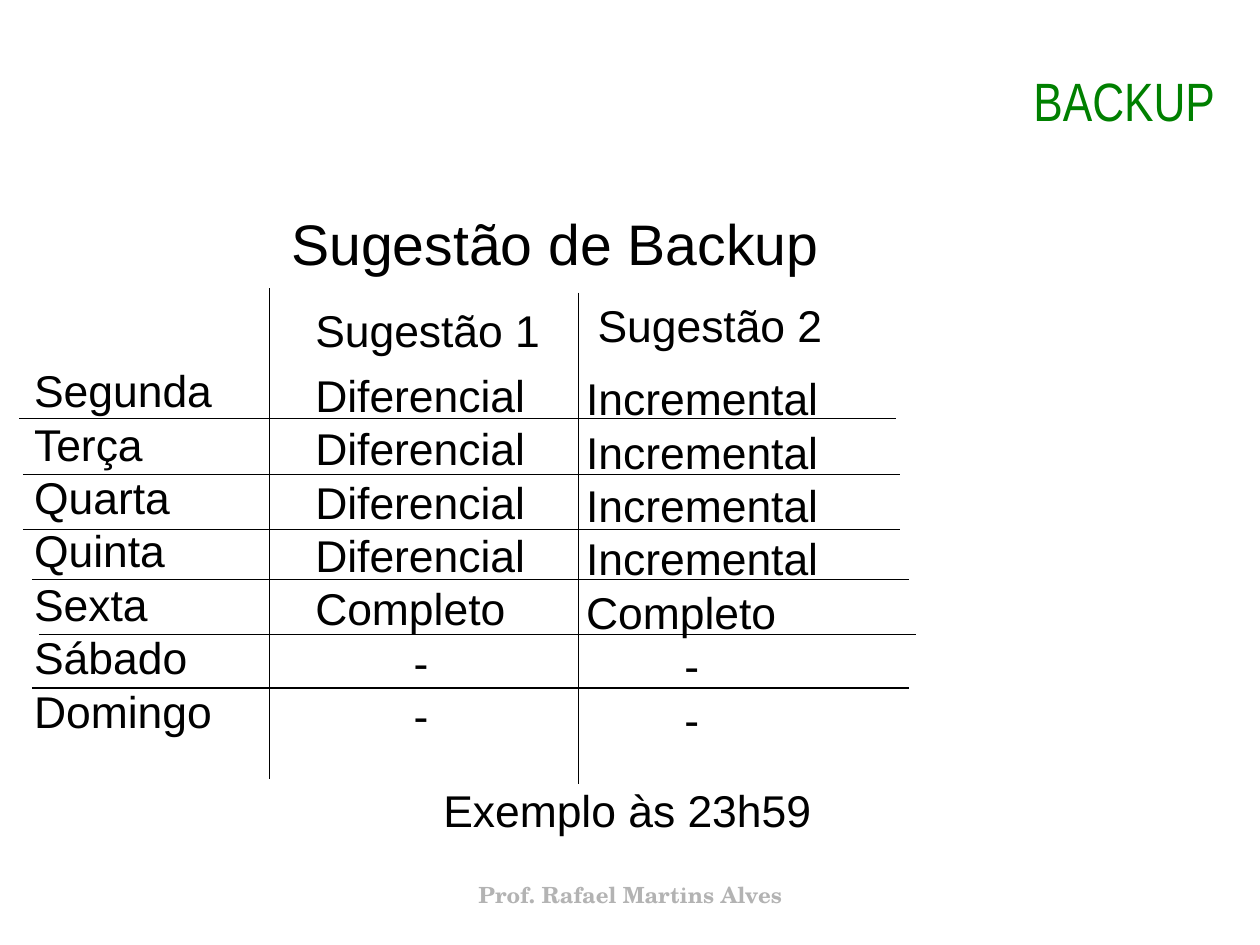
from lxml.etree import SubElement
from pptx import Presentation
from pptx.dml.color import RGBColor
from pptx.enum.shapes import MSO_CONNECTOR
from pptx.enum.text import MSO_ANCHOR, PP_ALIGN
from pptx.oxml.ns import qn
from pptx.util import Cm, Inches, Pt

COLORS = {"title": "008000", "text": "000000", "footer": "B3B3B3"}
DAYS = ["Segunda", "Terça", "Quarta", "Quinta", "Sexta", "Sábado", "Domingo"]
DIFFERENTIAL = ["Diferencial"] * 4 + ["Completo", "-", "-"]
INCREMENTAL = ["Incremental"] * 4 + ["Completo", "-", "-"]
COLUMNS = [(0.2, 3.13, 2.22, DAYS), (2.66, 3.17, 2.61, DIFFERENTIAL), (5.03, 3.2, 2.61, INCREMENTAL)]
LABELS = [(2.66, 2.6, 2.91, "Sugestão 1"), (5.13, 2.56, 2.91, "Sugestão 2"), (3.78, 6.8, 4.58, "Exemplo às 23h59")]
COLUMN_RULES = [(2.36, 2.52), (5.06, 2.56)]
ROW_RULES = [(0.17, 3.66), (0.2, 4.15), (0.2, 4.63), (0.28, 5.07), (0.34, 5.55), (0.28, 6.02)]
RULE_HEIGHT = 4.3
RULE_WIDTH = 7.67
DASH_INDENT = 0.86


def add_text(slide, x, y, w, h, lines, size=28, font="Arial", color="text",
             align=PP_ALIGN.LEFT, bold=False, inset=True):
    """Add a text box with one paragraph per line and return its text frame."""
    tf = slide.shapes.add_textbox(Inches(x), Inches(y), Inches(w), Inches(h)).text_frame
    tf.word_wrap = True
    if not inset:
        tf.margin_left = tf.margin_right = tf.margin_top = tf.margin_bottom = 0
    for i, line in enumerate(lines):
        p = tf.paragraphs[0] if i == 0 else tf.add_paragraph()
        p.text = line
        p.alignment = align
        if line == "-":
            p._p.get_or_add_pPr().set("marL", str(Inches(DASH_INDENT)))
        p.font.size = Pt(size)
        p.font.name = font
        p.font.bold = bold
        p.font.color.rgb = RGBColor.from_string(COLORS[color])
    return tf


def add_rule(slide, x, y, w=0, h=0):
    """Draw a thin straight rule without a shadow."""
    line = slide.shapes.add_connector(MSO_CONNECTOR.STRAIGHT, Inches(x), Inches(y), Inches(x + w), Inches(y + h))
    line.line.width = Pt(0.75)
    line.line.color.rgb = RGBColor.from_string(COLORS["text"])
    SubElement(line._element.spPr, qn("a:effectLst"))


def main():
    """Build the backup schedule slide."""
    prs = Presentation()
    prs.slide_width = Cm(28)
    prs.slide_height = Cm(21)
    slide = prs.slides.add_slide(prs.slide_layouts[6])

    title = add_text(slide, 3.54, 0.22, 7.09, 1.3, ["BACKUP"], 34, "Arial Narrow", "title",
                     PP_ALIGN.RIGHT, inset=False)
    title.vertical_anchor = MSO_ANCHOR.MIDDLE
    title.paragraphs[0].line_spacing = 1.02
    add_text(slide, 3.45, 7.71, 4.13, 0.34, ["Prof. Rafael Martins Alves"], 14, "TeX Gyre Schola",
             "footer", PP_ALIGN.CENTER, bold=True, inset=False)
    add_text(slide, 2.45, 1.77, 5, 0.7, ["Sugestão de Backup"], 36)

    for x, y, w, lines in COLUMNS:
        add_text(slide, x, y, w, 3.38, lines)
    for x, y, w, label in LABELS:
        add_text(slide, x, y, w, 0.57, [label])
    for x, y in COLUMN_RULES:
        add_rule(slide, x, y, h=RULE_HEIGHT)
    for x, y in ROW_RULES:
        add_rule(slide, x, y, w=RULE_WIDTH)

    prs.save("out.pptx")


if __name__ == "__main__":
    main()
